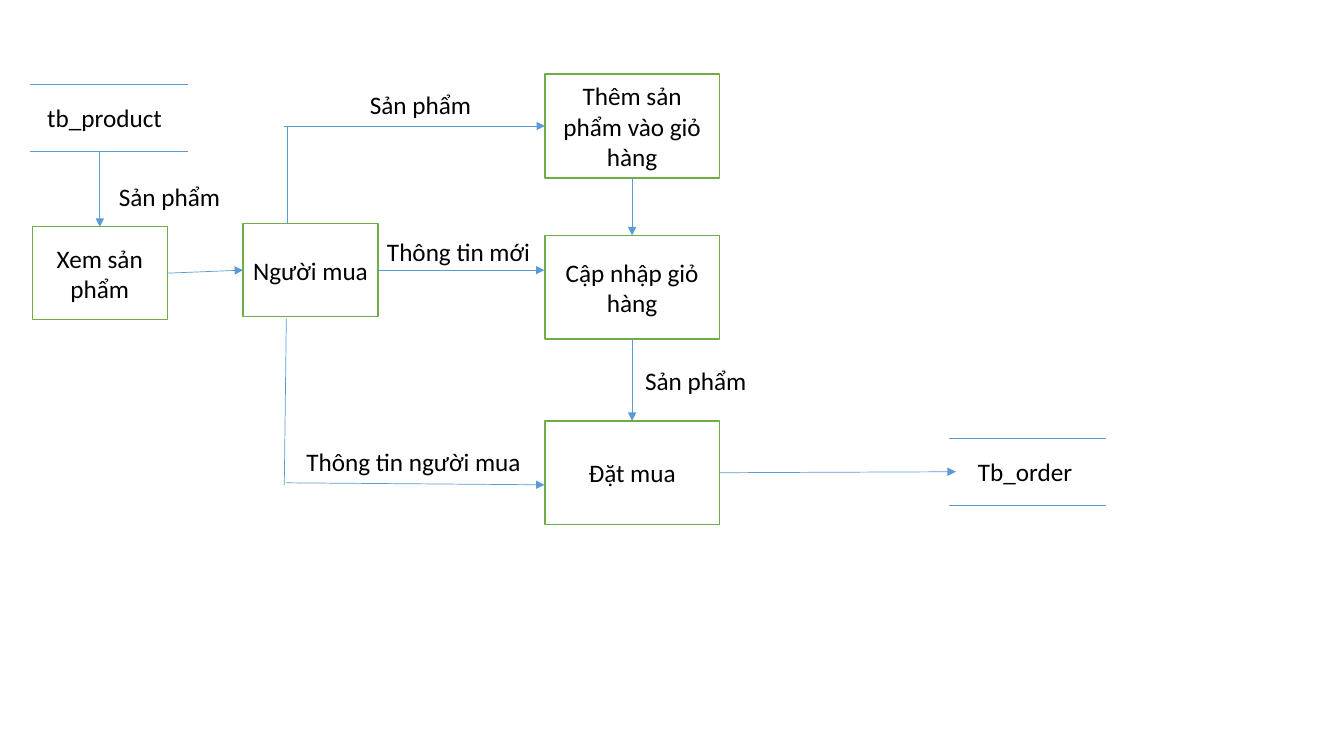
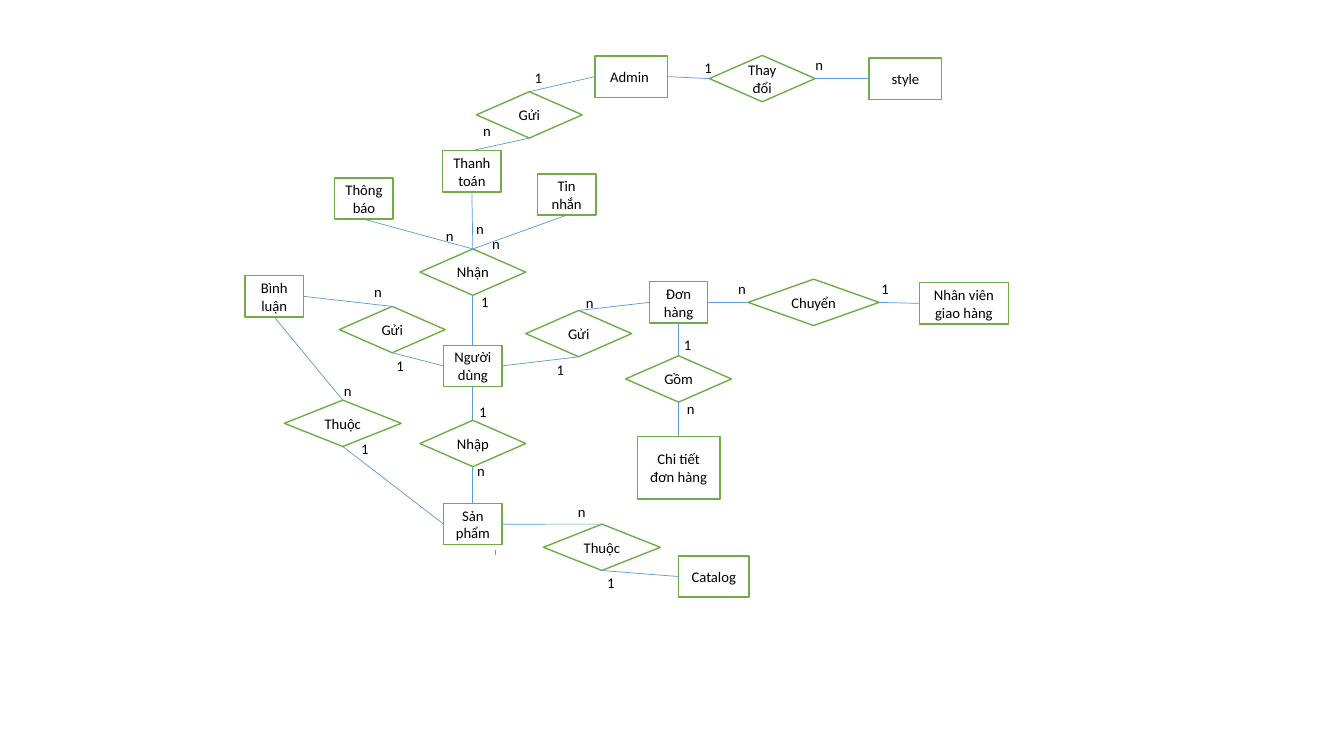
from dataclasses import dataclass
from typing import Any

from lxml import etree
from pptx import Presentation
from pptx.dml.color import RGBColor
from pptx.enum import shapes, text
from pptx.oxml.ns import qn
from pptx.util import Inches, Pt

GREEN = RGBColor(0x70, 0xAD, 0x47)
BLUE = RGBColor(0x5B, 0x9B, 0xD5)
WHITE = RGBColor(0xFF, 0xFF, 0xFF)
BLACK = RGBColor(0, 0, 0)
FONT = "Calibri"
RECT = shapes.MSO_SHAPE.RECTANGLE
GEM = shapes.MSO_SHAPE.FLOWCHART_DECISION
TOP, LEFT, BOTTOM, RIGHT = range(4)
SITES = {TOP: (0.5, 0), LEFT: (0, 0.5), BOTTOM: (0.5, 1), RIGHT: (1, 0.5)}


def write(frame, words, size=18, wrap=True, align=text.PP_ALIGN.LEFT,
          anchor=text.MSO_ANCHOR.TOP):
    frame.word_wrap = wrap
    frame.vertical_anchor = anchor
    para = frame.paragraphs[0]
    para.alignment = align
    run = para.add_run()
    run.text = words
    run.font.name = FONT
    run.font.size = Pt(size)
    run.font.color.rgb = BLACK


@dataclass
class Pane:
    slide: Any
    x: float
    y: float
    size: float

    def node(self, words, x, y, w, h, kind=RECT):
        shape = self.slide.shapes.add_shape(
            kind, Inches(self.x + x - w / 2), Inches(self.y + y - h / 2),
            Inches(w), Inches(h))
        shape.shadow.inherit = False
        shape.fill.solid()
        shape.fill.fore_color.rgb = WHITE
        shape.line.color.rgb = GREEN
        shape.line.width = Pt(1)
        write(shape.text_frame, words, self.size,
              align=text.PP_ALIGN.CENTER, anchor=text.MSO_ANCHOR.MIDDLE)
        return shape

    def label(self, words, x, y, w, h, wrap=False):
        box = self.slide.shapes.add_textbox(
            Inches(self.x + x), Inches(self.y + y), Inches(w), Inches(h))
        write(box.text_frame, words, self.size, wrap)

    def spot(self, end):
        first, second = end
        if isinstance(first, (int, float)):
            return Inches(self.x + first), Inches(self.y + second)
        across, down = SITES[second]
        return (int(first.left + first.width * across),
                int(first.top + first.height * down))

    def wire(self, start, end, arrow=False):
        line = self.slide.shapes.add_connector(
            shapes.MSO_CONNECTOR.STRAIGHT, *self.spot(start), *self.spot(end))
        if not isinstance(start[0], (int, float)):
            line.begin_connect(*start)
        if not isinstance(end[0], (int, float)):
            line.end_connect(*end)
        line.line.color.rgb = BLUE
        line.line.width = Pt(0.5)
        if arrow:
            etree.SubElement(line.line._get_or_add_ln(), qn("a:tailEnd"),
                             type="triangle")
        etree.SubElement(line._element.spPr, qn("a:effectLst"))


def store(pane, words, x, y, inset, width):
    for edge in (-0.33, 0.33):
        pane.wire((x - 0.78, y + edge), (x + 0.78, y + edge))
    pane.label(words, x - inset, y - 0.2, width, 0.4)


def flow(slide, x, y):
    pane = Pane(slide, x, y, 18)
    buyer = pane.node("Người mua", 0, 0, 1.34, 0.92)
    view = pane.node("Xem sản phẩm", -2.09, 0.03, 1.34, 0.92)
    add, update, order = [
        pane.node(words, 3.19, down, 1.73, 1.03) for words, down in (
            ("Thêm sản phẩm vào giỏ hàng", -1.43),
            ("Cập nhập giỏ hàng", 0.17),
            ("Đặt mua", 2.01))]
    store(pane, "tb_product", -2, -1.51, 0.71, 1.35)
    store(pane, "Tb_order ", 7.11, 2, 0.59, 1.21)

    pane.wire((-0.23, -0.46), (-0.23, -1.42))
    pane.wire((-0.24, 0.48), (-0.26, 2.13))
    for start, end in (
            ((-0.26, -1.43), (add, LEFT)),
            ((-0.24, 2.11), (2.32, 2.13)),
            ((buyer, RIGHT), (2.32, 0)),
            ((add, BOTTOM), (update, TOP)),
            ((update, BOTTOM), (order, TOP)),
            ((order, RIGHT), (6.4, 2)),
            ((-2.09, -1.17), (view, TOP)),
            ((view, RIGHT), (buyer, LEFT))):
        pane.wire(start, end, arrow=True)

    for words, left, top, width in (
            ("Sản phẩm", 0.49, -1.84, 1.22),
            ("Thông tin người mua", -0.14, 1.7, 2.36),
            ("Thông tin mới", 0.66, -0.38, 1.64),
            ("Sản phẩm", 3.22, 0.9, 1.22),
            ("Sản phẩm", -2, -0.93, 1.22)):
        pane.label(words, left, top, width, 0.4)


def model(slide, x, y):
    pane = Pane(slide, x, y, 10.5)

    def thing(words, left, top, w=0.58, h=0.41):
        return pane.node(words, left, top, w, h)

    def bond(words, left, top, *links, w=1.05):
        gem = pane.node(words, left, top, w, 0.46, GEM)
        for site, other, side, mark, right, down in links:
            pane.wire((gem, site), (other, side))
            px, py = pane.spot((gem, site))
            pane.label(mark, px / Inches(1) - x + right,
                       py / Inches(1) - y + down, 0.19, 0.28, wrap=True)

    user = thing("Người dùng", 0, 0)
    goods = thing("Sản phẩm", 0, 1.57)
    order = thing("Đơn hàng", 2.04, -0.63)
    courier = thing("Nhân viên giao hàng", 4.87, -0.62, w=0.88)
    detail = thing("Chi tiết đơn hàng", 2.04, 1.01, w=0.82, h=0.62)
    comment = thing("Bình luận", -1.97, -0.69)
    notice = thing("Thông báo", -1.08, -1.66)
    payment = thing("Thanh toán", -0.01, -1.93)
    message = thing("Tin nhắn", 0.93, -1.7)
    admin = thing("Admin ", 1.57, -2.87, w=0.72)
    style = thing("style", 4.29, -2.85, w=0.72)
    catalog = thing("Catalog", 2.39, 2.09, w=0.7)

    bond("Nhập", 0, 0.77,
         (TOP, user, BOTTOM, "1", -0.03, -0.22),
         (BOTTOM, goods, TOP, "n", -0.05, -0.1))
    bond("Gửi", 1.05, -0.32,
         (BOTTOM, user, RIGHT, "1", -0.31, -0.01),
         (TOP, order, LEFT, "n", -0.02, -0.21))
    bond("Chuyển", 3.38, -0.63,
         (LEFT, order, RIGHT, "n", -0.19, -0.27),
         (RIGHT, courier, LEFT, "1", -0.07, -0.27), w=1.3)
    bond("Gồm", 2.04, 0.13,
         (TOP, order, BOTTOM, "1", -0.04, -0.25),
         (BOTTOM, detail, TOP, "n", -0.01, -0.07))
    bond("Gửi", -0.8, -0.36,
         (BOTTOM, user, LEFT, "1", -0.05, -0.01),
         (TOP, comment, RIGHT, "n", -0.27, -0.28))
    bond("Thuộc", -1.29, 0.57,
         (TOP, comment, BOTTOM, "n", -0.08, -0.23),
         (BOTTOM, goods, LEFT, "1", 0.09, -0.12), w=1.16)
    bond("Nhận", 0, -0.93,
         (BOTTOM, user, TOP, "1", -0.01, -0.07),
         (TOP, notice, BOTTOM, "n", -0.36, -0.27),
         (TOP, payment, BOTTOM, "n", -0.06, -0.34),
         (TOP, message, BOTTOM, "n", 0.1, -0.19))
    bond("Gửi", 0.56, -2.49,
         (BOTTOM, payment, TOP, "n", -0.55, -0.21),
         (TOP, admin, LEFT, "1", -0.04, -0.28))
    bond("Thuộc", 1.28, 1.8,
         (BOTTOM, catalog, LEFT, "1", -0.04, -0.02),
         (TOP, goods, RIGHT, "n", -0.33, -0.26), w=1.16)
    bond("Thay đổi", 2.87, -2.85,
         (LEFT, admin, RIGHT, "1", -0.14, -0.25),
         (RIGHT, style, LEFT, "n", -0.09, -0.28))
    pane.wire((0.22, 1.83), (0.22, 1.88))


deck = Presentation()
deck.slide_width = Inches(13.33)
deck.slide_height = Inches(7.5)
blank = deck.slide_layouts[6]
flow(deck.slides.add_slide(blank), 3.08, 2.68)
model(deck.slides.add_slide(blank), 4.69, 3.63)
deck.save("out.pptx")
